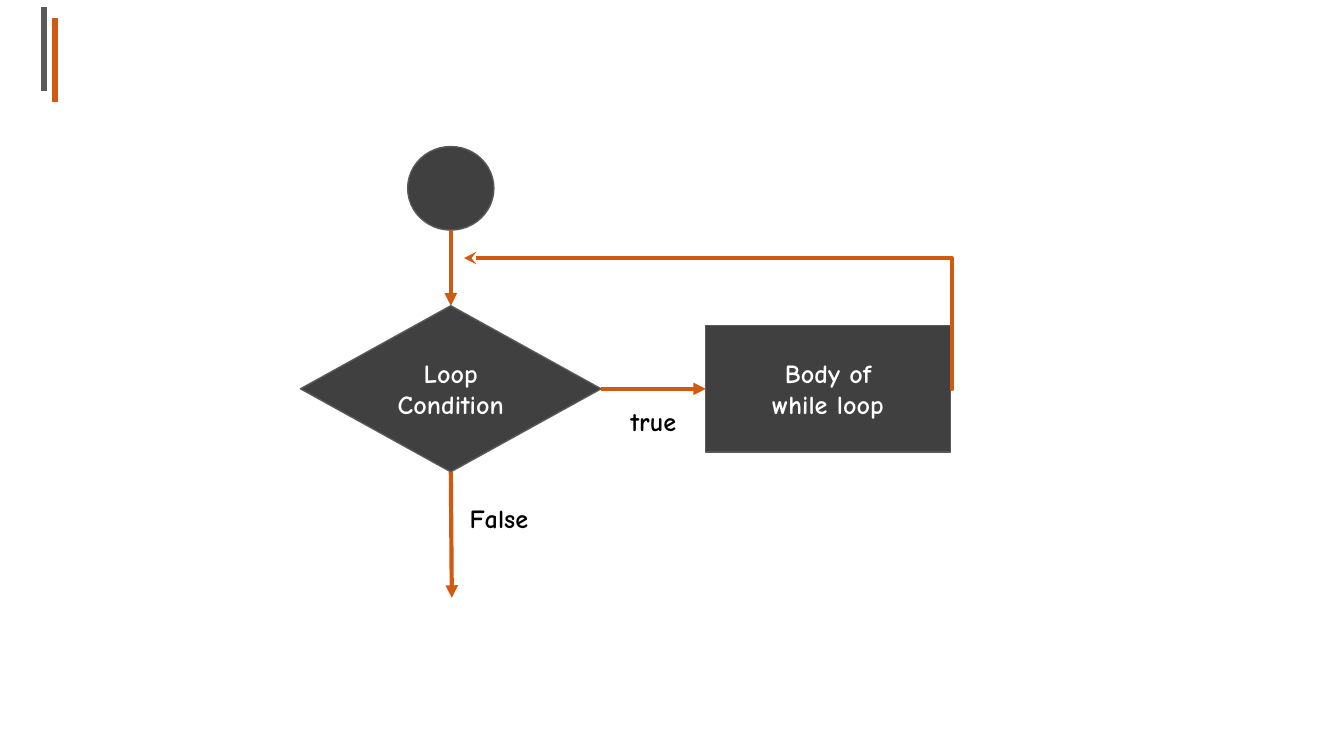
from lxml import etree
from pptx import Presentation
from pptx.dml.color import RGBColor
from pptx.enum.shapes import MSO_CONNECTOR as Connector, MSO_SHAPE as Shape
from pptx.enum.text import MSO_ANCHOR as Anchor, MSO_AUTO_SIZE as AutoSize, PP_ALIGN as Align
from pptx.oxml.ns import qn
from pptx.util import Cm, Pt

ORANGE = RGBColor(0xD1, 0x5A, 0x12)
GREY = RGBColor(0x59, 0x59, 0x59)
DARK = RGBColor(0x40, 0x40, 0x40)
WHITE = RGBColor(0xFF, 0xFF, 0xFF)
BLACK = RGBColor(0x00, 0x00, 0x00)


def write_text(frame, text, *, color, font, size, anchor=Anchor.TOP):
    frame.word_wrap = True
    frame.vertical_anchor = anchor
    frame.margin_left = frame.margin_right = Cm(0.25)
    frame.margin_top = frame.margin_bottom = Cm(0.25)
    paragraph = frame.paragraphs[0]
    paragraph.text = text
    paragraph.alignment = Align.CENTER
    for run in paragraph.runs:
        run.font.name = font
        run.font.size = Pt(size)
        run.font.bold = True
        run.font.color.rgb = color


class FlowChart:
    font = "Comic Neue"
    size = 14
    arrow_width = 2.25

    def __init__(self, slide):
        self.slide = slide
        self.shapes = slide.shapes

    def start_group(self):
        self.shapes = self.slide.shapes.add_group_shape().shapes

    def node(self, kind, center_x, center_y, width, height, text=None):
        shape = self.shapes.add_shape(
            kind, Cm(center_x - width / 2), Cm(center_y - height / 2), Cm(width), Cm(height))
        shape.shadow.inherit = False
        shape.fill.solid()
        shape.fill.fore_color.rgb = DARK
        shape.line.color.rgb = GREY
        shape.line.width = Pt(0.75)
        if text:
            write_text(shape.text_frame, text, color=WHITE, font=self.font,
                       size=self.size, anchor=Anchor.MIDDLE)

    def label(self, text, left, top):
        box = self.shapes.add_textbox(Cm(left), Cm(top), Cm(1.78), Cm(1.12))
        write_text(box.text_frame, text, color=BLACK, font=self.font, size=self.size)
        box.text_frame.auto_size = AutoSize.SHAPE_TO_FIT_TEXT

    def line(self, start, end, color=ORANGE, width=arrow_width, kind=Connector.STRAIGHT):
        connector = self.shapes.add_connector(kind, *map(Cm, start + end))
        connector.line.color.rgb = color
        connector.line.width = Pt(width)
        etree.SubElement(connector._element.spPr, qn("a:effectLst"))
        return connector

    def arrow(self, start, end, head="triangle", **style):
        connector = self.line(start, end, **style)
        etree.SubElement(connector.line._get_or_add_ln(), qn("a:tailEnd"), type=head)
        return connector

    def loop_arrow(self, start, end, bend):
        connector = self.arrow(start, end, head="stealth", kind=Connector.ELBOW)
        guides = connector._element.spPr.find(qn("a:prstGeom")).get_or_add_avLst()
        etree.SubElement(guides, qn("a:gd"), name="adj1", fmla=f"val {bend}")


def main():
    presentation = Presentation()
    presentation.slide_width = Cm(25.4)
    presentation.slide_height = Cm(14.29)
    slide = presentation.slides.add_slide(presentation.slide_layouts[6])
    chart = FlowChart(slide)

    # Corner accent
    for x, top, color in ((1.04, 0.35, ORANGE), (0.83, 0.14, GREY)):
        chart.line((x, top), (x, top + 1.58), color=color, width=3)

    # Nodes: start, condition, loop body
    chart.start_group()
    column, row = 8.52, 7.35
    body_x, body_width = 15.65, 4.62
    diamond_width, diamond_height = 5.68, 3.14
    body_left, body_right = body_x - body_width / 2, body_x + body_width / 2
    diamond_top, diamond_bottom = row - diamond_height / 2, row + diamond_height / 2
    chart.node(Shape.FLOWCHART_DECISION, column, row, diamond_width, diamond_height,
               "Loop\nCondition")
    chart.node(Shape.OVAL, column, 3.56, 1.63, 1.58)
    chart.node(Shape.RECTANGLE, body_x, row, body_width, 2.39, "Body of\nwhile loop")

    # Arrows between the nodes
    chart.arrow((column, 4.35), (column, diamond_top))
    chart.arrow((column + diamond_width / 2, row), (body_left, row))
    chart.arrow((column, diamond_bottom), (column + 0.02, 11.3))

    # Branch labels
    chart.label("true", 11.46, 7.42)
    chart.label("False", 8.54, 9.25)

    # Way back to the condition
    chart.loop_arrow((body_right, row), (8.77, 4.88), bend=-400)

    presentation.save("out.pptx")


if __name__ == "__main__":
    main()
